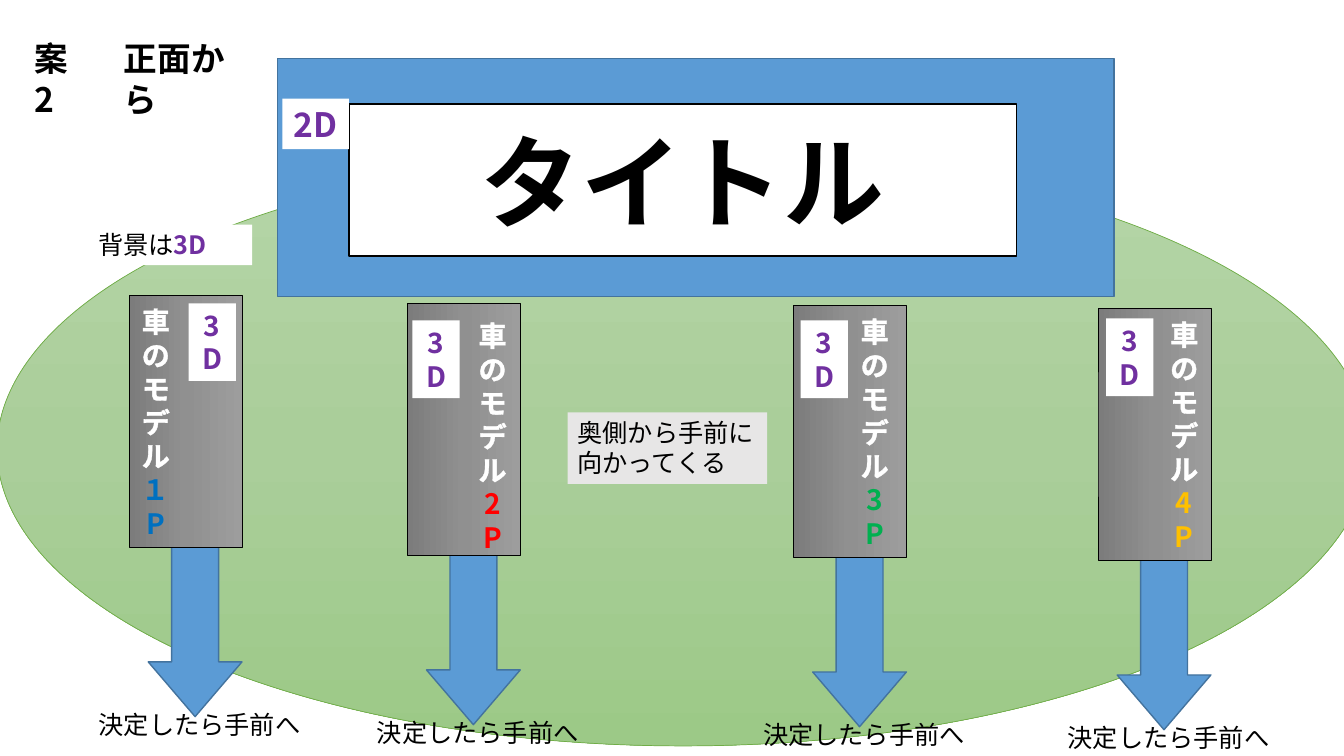
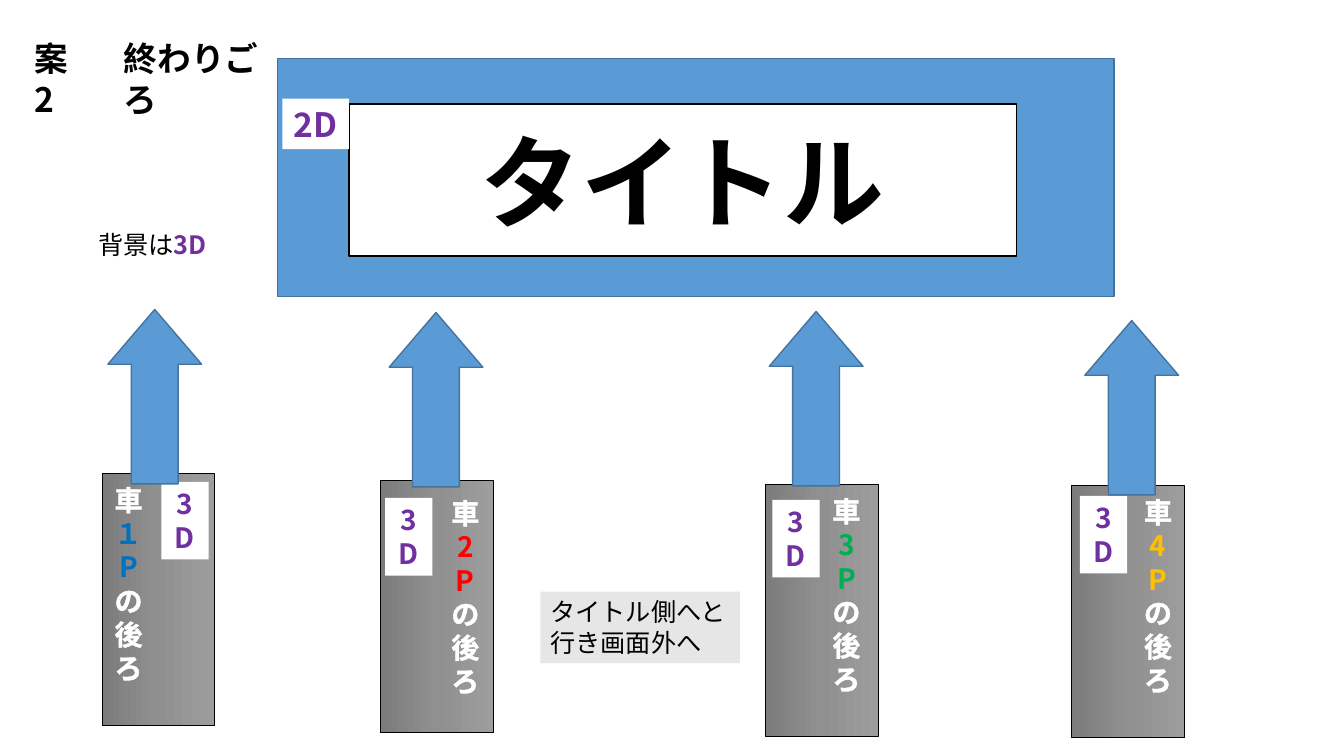
from copy import deepcopy
from lxml.etree import SubElement, Element
from pptx import Presentation
from pptx.dml.color import RGBColor
from pptx.enum.shapes import MSO_SHAPE
from pptx.enum.text import MSO_ANCHOR, PP_ALIGN
from pptx.oxml.ns import qn
from pptx.util import Inches, Pt

FONT = "Noto Sans CJK JP"
HEX = dict(blue="5B9BD5", edge="43739E", white="FFFFFF", black="000000",
           grey="E7E6E6", purple="7030A0", green="70AD47",
           p1="0070C0", p2="FF0000", p3="00B050", p4="FFC000")
FIELD = ("B5D5A7", "AACE9A", "9CC987")
METAL = ("9D9D9D", "909090", "7C7C7C")

# Grid: one column and one row are an inch
COLS, ROWS = 13.33, 7.5
deck = Presentation()
deck.slide_width, deck.slide_height = Inches(COLS), Inches(ROWS)
COL, ROW = deck.slide_width / COLS, deck.slide_height / ROWS


def rgb(name):
    return RGBColor.from_string(HEX.get(name, name))


def place(box):
    x, y, w, h = box
    return [round(v) for v in (x * COL, y * ROW, w * COL, h * ROW)]


def shape(parts, kind, box, fill, line=None, width=1, turn=0):
    """Draw a preset shape; box is what it covers after a quarter turn."""
    x, y, w, h = box
    if turn:
        x, y, w, h = x + (w - h) / 2, y + (h - w) / 2, h, w
    item = parts.add_shape(kind, *place((x, y, w, h)))
    item.rotation = turn
    item.shadow.inherit = False
    if isinstance(fill, tuple):
        blend(item, fill)
    else:
        item.fill.solid()
        item.fill.fore_color.rgb = rgb(fill)
    if line:
        item.line.color.rgb = rgb(line)
        item.line.width = Pt(width)
    else:
        item.line.fill.background()
    return item


def blend(item, tones):
    item.fill.gradient()
    item.fill.gradient_angle = 270
    stops = item.element.spPr.find(".//" + qn("a:gsLst"))
    stops.insert(1, deepcopy(stops[0]))
    for stop, tone, spot in zip(item.fill.gradient_stops, tones, (0, 0.5, 1)):
        stop.color.rgb = rgb(tone)
        stop.position = spot


def write(item, lines, size, color="black", bold=False, center=True,
          middle=False, rim=False):
    """Each line is a list of (text, accent colour or None)."""
    frame = item.text_frame
    frame.word_wrap = True
    frame.vertical_anchor = MSO_ANCHOR.MIDDLE if middle else MSO_ANCHOR.TOP
    for i, line in enumerate(lines):
        para = frame.add_paragraph() if i else frame.paragraphs[0]
        para.alignment = PP_ALIGN.CENTER if center else PP_ALIGN.LEFT
        font = para.font
        font.name, font.size, font.bold = FONT, Pt(size), bold
        font.color.rgb = rgb(color)
        props = para._p.find(".//" + qn("a:defRPr"))
        SubElement(props, qn("a:ea"), typeface=FONT)
        if rim:
            edge = Element(qn("a:ln"), w=str(Pt(0.75)))
            tone = SubElement(edge, qn("a:solidFill"))
            SubElement(tone, qn("a:srgbClr"), val=HEX["white"])
            props.insert(0, edge)
        for text, accent in line:
            run = para.add_run()
            run.text = text
            if accent:
                run.font.color.rgb = rgb(accent)
                run.font.bold = True


def label(parts, box, lines, size, **style):
    item = parts.add_textbox(*place(box))
    write(item, lines, size, **style)
    return item


def tag(parts, box, text, size):
    item = shape(parts, MSO_SHAPE.RECTANGLE, box, "white")
    write(item, [[(text, None)]], size, color="purple", bold=True)


def banner(parts, box):
    x, y, w, h = box
    shape(parts, MSO_SHAPE.RECTANGLE, box, "blue", "edge")
    name = shape(parts, MSO_SHAPE.RECTANGLE,
                 (x + 0.71, y + 0.45, w - 1.68, h - 0.85), "white", "black")
    write(name, [[("タイトル", None)]], 72, bold=True, middle=True)
    tag(parts, (x + 0.05, y + 0.4, 0.66, 0.5), "2D", 24)


def header(parts, box, topic):
    x, y, w, h = box
    plan = label(parts, (x, y, 0.77, h), [[("案2", None)]], 24,
                 bold=True, center=False)
    plan.text_frame.margin_right = Inches(0.2)
    label(parts, (x + 0.89, y, w - 0.89, h), [[(topic, None)]], 24,
          bold=True, center=False)


def scene(parts, box):
    item = shape(parts, MSO_SHAPE.RECTANGLE, box, "white")
    write(item, [[("背景は", None), ("3D", "purple")]], 18)


def note(parts, box, texts):
    item = shape(parts, MSO_SHAPE.RECTANGLE, box, "grey")
    write(item, [[(text, None)] for text in texts], 18, center=False)


def arrow(parts, spot, turn):
    item = shape(parts, MSO_SHAPE.RIGHT_ARROW, (*spot, 0.93, 1.73),
                 "blue", "edge", turn=turn)
    item.adjustments[1] = 0.584


# Offsets of the name and the 3D tag inside each car
INSIDE = [((0.02, 0.04), (0.59, 0.08)), ((0.6, 0.1), (0.05, 0.17)),
          ((0.56, 0.04), (0.07, 0.15)), ((0.61, 0.04), (0.08, 0.1))]


def car(slide, spot, rank, lines):
    x, y = spot
    parts = slide.shapes.add_group_shape().shapes
    (nx, ny), (tx, ty) = INSIDE[rank]
    shape(parts, MSO_SHAPE.RECTANGLE, (x, y, 1.12, 2.5), METAL,
          "black", 0.5, turn=90)
    label(parts, (x + nx, y + ny, 0.49, 2.46), lines, 20,
          color="white", bold=True, rim=True)
    tag(parts, (x + tx, y + ty, 0.47, 0.77), "3D", 20)


def common(slide, topic):
    parts = slide.shapes
    banner(parts, (2.75, 0.58, 8.3, 2.36))
    header(parts, (0.24, 0.33, 2.38 if len(topic) < 5 else 2.62, 0.5), topic)
    scene(parts, (0.52, 2.23, 1.98, 0.4))


PLAYERS = [("１P", "p1"), ("2P", "p2"), ("3P", "p3"), ("4P", "p4")]


def front(slide):
    parts = slide.shapes
    shape(parts, MSO_SHAPE.OVAL, (-0.03, 1.51, 13.61, 5.89), FIELD,
          "green", 0.5)
    common(slide, "正面から")
    note(parts, (5.63, 4.09, 1.98, 0.71), ["奥側から手前に", "向かってくる"])
    spots = [(1.28, 2.93), (4.04, 3.01), (7.87, 3.03), (10.89, 3.06)]
    for rank, (x, y) in enumerate(spots):
        arrow(parts, (x + 0.19, y + 2.45), 90)
        label(parts, (x - 0.4, y + 4.06, 2.58, 0.4),
              [[("決定したら手前へ", None)]], 18, center=False)
        car(slide, (x, y), rank, [[("車のモデル", None), PLAYERS[rank]]])


def ending(slide):
    parts = slide.shapes
    common(slide, "終わりごろ")
    note(parts, (5.36, 5.87, 1.98, 0.71), ["タイトル側へと行き画面外へ"])
    spots = [(1.01, 4.7), (3.77, 4.77), (7.59, 4.81), (10.63, 4.82)]
    tips = [(1.07, 3.07), (3.86, 3.1), (7.63, 3.09), (10.76, 3.18)]
    for rank, (spot, tip) in enumerate(zip(spots, tips)):
        car(slide, spot, rank,
            [[("車", None), PLAYERS[rank]], [("の後ろ", None)]])
        arrow(parts, tip, 270)


for build in (front, ending):
    build(deck.slides.add_slide(deck.slide_layouts[6]))
deck.save("out.pptx")
